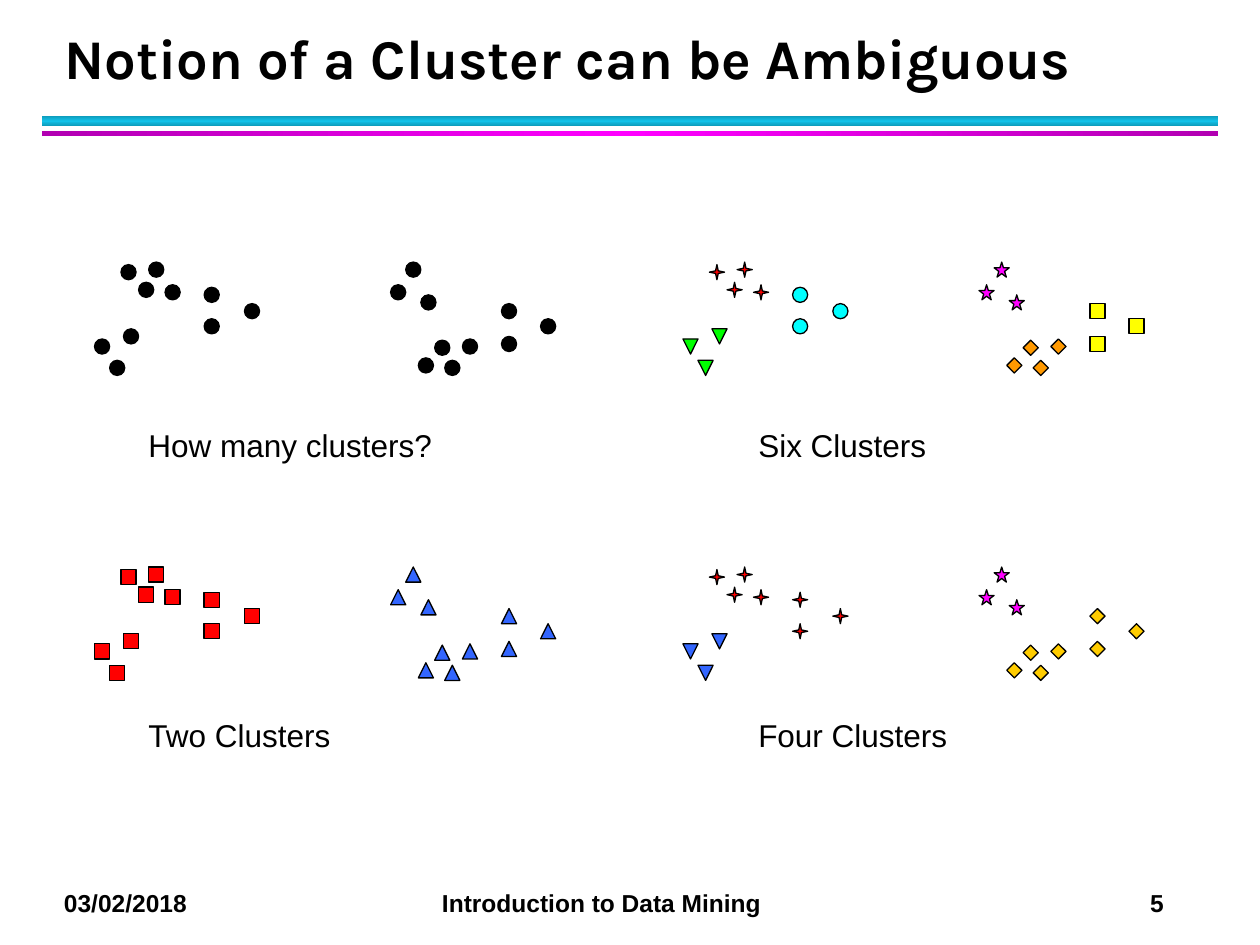
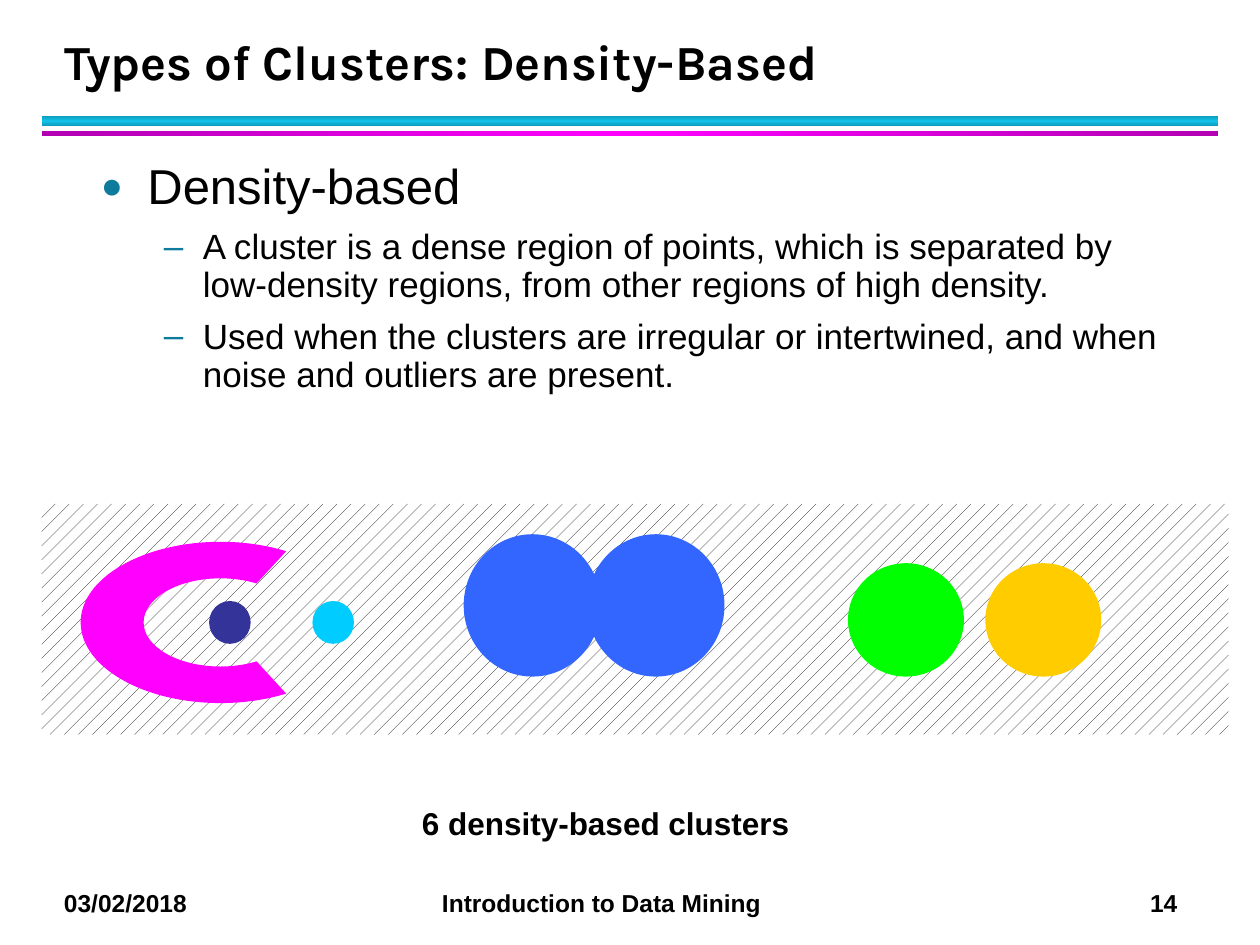
from copy import deepcopy
from math import cos, radians, sin, tan

from lxml.etree import SubElement
from pptx import Presentation
from pptx.dml.color import RGBColor
from pptx.enum.dml import MSO_PATTERN_TYPE as Pattern
from pptx.enum.shapes import MSO_SHAPE as Shape
from pptx.enum.text import MSO_ANCHOR as Anchor, MSO_AUTO_SIZE as AutoSize, PP_ALIGN as Align
from pptx.oxml.ns import qn
from pptx.util import Pt

EMU_PER_PX = 9144
PAGE_SIZE = (1000, 750)
TITLE_FONT, TEXT_FONT = "Karla", "Arial"
COLORS = {
    "black": "000000", "white": "FFFFFF", "teal": "12C2E9", "deep teal": "0E9BBA",
    "magenta": "FF00FF", "deep magenta": "B200B2", "bullet": "0C7B9C", "red": "FF0000",
    "blue": "3366FF", "green": "00FF00", "cyan": "00FFFF", "yellow": "FFFF00",
    "orange": "FF9900", "gold": "FFCC00", "navy": "333399", "sky": "00CCFF",
}

BANDS = [
    ((33, 92, 934, 8), "deep teal", "teal", 90),
    ((33, 104, 934, 4), "deep magenta", "magenta", 0),
]
TITLE_BOX = (41, 17, 906, 60)
FOOTER_BOX = (41, 700, 933, 34)
FOOTER_TABS = (300, 862)
FOOTER_DATE, FOOTER_COURSE = "03/02/2018", "Introduction to Data Mining"

DOT = 12
PANEL_STEP = (467, 242)
CAPTION_START, CAPTION_STEP, CAPTION_SIZE = (108, 333), (484, 230), (250, 40)
POINTS = {
    "left top": [(131, 226), (96, 210), (118, 208), (110, 224)],
    "left low": [(98, 261), (75, 269), (87, 286)],
    "left side": [(162, 228), (194, 241), (162, 253)],
    "right top": [(334, 234), (310, 226), (322, 208)],
    "right low": [(367, 269), (332, 284), (353, 286), (345, 270)],
    "right side": [(398, 267), (429, 253), (398, 241)],
}
BLACK_DOT = (Shape.OVAL, "black", 0)
RED_SQUARE = (Shape.RECTANGLE, "red", 0)
RED_STAR = (Shape.STAR_4_POINT, "red", 0)
PINK_STAR = (Shape.STAR_5_POINT, "magenta", 0)
BLUE_UP = (Shape.ISOSCELES_TRIANGLE, "blue", 0)
BLUE_DOWN = (Shape.FLOWCHART_EXTRACT, "blue", 180)
GREEN_DOWN = (Shape.ISOSCELES_TRIANGLE, "green", 180)
CYAN_DOT = (Shape.OVAL, "cyan", 0)
ORANGE_DIAMOND = (Shape.DIAMOND, "orange", 0)
GOLD_DIAMOND = (Shape.DIAMOND, "gold", 0)
YELLOW_SQUARE = (Shape.RECTANGLE, "yellow", 0)
PANELS = [
    ("How many clusters?", 0, 0, [BLACK_DOT] * 6),
    ("Six Clusters", 1, 0,
     [RED_STAR, GREEN_DOWN, CYAN_DOT, PINK_STAR, ORANGE_DIAMOND, YELLOW_SQUARE]),
    ("Two Clusters", 0, 1, [RED_SQUARE] * 3 + [BLUE_UP] * 3),
    ("Four Clusters", 1, 1,
     [RED_STAR, BLUE_DOWN, RED_STAR, PINK_STAR, GOLD_DIAMOND, GOLD_DIAMOND]),
]

BODY_BOX = (70, 124, 875, 559)
BODY = [
    (0, "Density-based"),
    (1, "A cluster is a dense region of points, which is separated by "
        "low-density regions, from other regions of high density."),
    (1, "Used when the clusters are irregular or intertwined, and when "
        "noise and outliers are present."),
]
LEVELS = [
    {"size": 28, "left": 37, "hang": 37, "bullet": "●", "percent": 75},
    {"size": 20, "left": 81, "hang": 31, "bullet": "–", "percent": 100},
]
NOISE_FIELD = (33, 400, 942, 183)
CRESCENT_CENTER, CRESCENT_OPENING = (175, 494), 62
CRESCENT_OUTER, CRESCENT_INNER = (111, 64), (61, 35)
ROUND_CLUSTERS = [
    ((166, 477, 33, 34), "navy"),
    ((248, 477, 33, 34), "sky"),
    ((673, 447, 92, 90), "green"),
    ((782, 447, 92, 90), "gold"),
    ((368, 424, 109, 113), "blue"),
    ((466, 424, 109, 113), "blue"),
]
DENSITY_CAPTION = ("6 density-based clusters", (325, 633, 350, 40))


def px(value):
    return round(value * EMU_PER_PX)


def place(box):
    return [px(value) for value in box]


def rgb(name):
    return RGBColor.from_string(COLORS[name])


def add_span(para, text, size, bold=False, font=TEXT_FONT):
    span = para.add_run()
    span.text = text
    span.font.size = Pt(size)
    span.font.bold = bold
    span.font.name = font
    span.font.color.rgb = rgb("black")


def add_label(shapes, text, box, size=18, bold=False):
    label = shapes.add_textbox(*place(box))
    label.text_frame.word_wrap = True
    para = label.text_frame.paragraphs[0]
    add_span(para, text, size, bold)
    return para


def finish(shape, color=None, outlined=False):
    shape.shadow.inherit = False
    if color:
        shape.fill.solid()
        shape.fill.fore_color.rgb = rgb(color)
    if outlined:
        shape.line.color.rgb = rgb("black")
        shape.line.width = Pt(0.75)
    else:
        shape.line.fill.background()


def add_band(page, box, edge, middle, angle):
    band = page.shapes.add_shape(Shape.RECTANGLE, *place(box))
    finish(band)
    band.fill.gradient()
    band.fill.gradient_angle = angle
    stops = band.fill.gradient_stops
    for stop, color, position in zip(stops, (edge, middle), (0, 0.5)):
        stop.color.rgb = rgb(color)
        stop.position = position
    stop_list = band._element.spPr.find(".//" + qn("a:gsLst"))
    last = deepcopy(stop_list[0])
    last.set("pos", "100000")
    stop_list.append(last)


def add_footer(page, number):
    text = f"{FOOTER_DATE}\t{FOOTER_COURSE}\t{number}"
    para = add_label(page.shapes, text, FOOTER_BOX, 14, True)
    tabs = SubElement(para._p.get_or_add_pPr(), qn("a:tabLst"))
    for stop in FOOTER_TABS:
        SubElement(tabs, qn("a:tab"), pos=str(px(stop)), algn="l")


def move_placeholder(holder, box, anchor):
    holder.left, holder.top, holder.width, holder.height = place(box)
    frame = holder.text_frame
    frame.auto_size = AutoSize.NONE
    frame.word_wrap = True
    frame.vertical_anchor = anchor
    return frame


def add_page(deck, layout, title, title_size, number):
    page = deck.slides.add_slide(deck.slide_layouts[layout])
    for band in BANDS:
        add_band(page, *band)
    add_footer(page, number)
    frame = move_placeholder(page.shapes.title, TITLE_BOX, Anchor.BOTTOM)
    para = frame.paragraphs[0]
    para.alignment = Align.LEFT
    para.line_spacing = Pt(36)
    add_span(para, title, title_size, True, TITLE_FONT)
    return page


def add_panel(page, caption, column, row, marks):
    shapes = page.shapes.add_group_shape().shapes
    shift_x, shift_y = column * PANEL_STEP[0], row * PANEL_STEP[1]
    for points, (kind, color, turn) in zip(POINTS.values(), marks):
        for x, y in points:
            mark = shapes.add_shape(kind, *place((x + shift_x, y + shift_y, DOT, DOT)))
            finish(mark, color, outlined=True)
            mark.rotation = turn
            if kind == Shape.STAR_4_POINT:
                mark.adjustments[0] = 0.125
    corner = [start + step * index for start, step, index
              in zip(CAPTION_START, CAPTION_STEP, (column, row))]
    add_label(shapes, caption, (*corner, *CAPTION_SIZE))


def fill_body(page):
    frame = move_placeholder(page.placeholders[1], BODY_BOX, Anchor.TOP)
    for index, (depth, text) in enumerate(BODY):
        para = frame.add_paragraph() if index else frame.paragraphs[0]
        level = LEVELS[depth]
        para.level = depth
        para.line_spacing = 0.9
        para.space_before = Pt(level["size"] * 0.2)
        para.space_after = Pt(4)
        add_span(para, text, level["size"])
        props = para._p.get_or_add_pPr()
        props.set("marL", str(px(level["left"])))
        props.set("indent", str(-px(level["hang"])))
        color = SubElement(props, qn("a:buClr"))
        SubElement(color, qn("a:srgbClr"), val=COLORS["bullet"])
        SubElement(props, qn("a:buSzPct"), val=str(level["percent"] * 1000))
        SubElement(props, qn("a:buFont"), typeface=TEXT_FONT)
        SubElement(props, qn("a:buChar"), char=level["bullet"])


def ellipse_point(radii, angle, pull=0):
    turn = radians(angle)
    return (px(CRESCENT_CENTER[0] + radii[0] * (cos(turn) - pull * sin(turn))),
            px(CRESCENT_CENTER[1] + radii[1] * (sin(turn) + pull * cos(turn))))


def arc_curves(radii, angles):
    curves = []
    for start, end in zip(angles, angles[1:]):
        pull = 4 / 3 * tan(radians(end - start) / 4)
        curves.append([ellipse_point(radii, start, pull), ellipse_point(radii, end, -pull),
                       ellipse_point(radii, end)])
    return curves


def add_crescent(shapes):
    angles = [CRESCENT_OPENING, 90, 180, 270, 360 - CRESCENT_OPENING]
    steps = arc_curves(CRESCENT_OUTER, angles)
    steps.append([ellipse_point(CRESCENT_INNER, angles[-1])])
    steps += arc_curves(CRESCENT_INNER, angles[::-1])
    builder = shapes.build_freeform(*ellipse_point(CRESCENT_OUTER, angles[0]))
    builder.add_line_segments([step[-1] for step in steps], close=True)
    crescent = builder.convert_to_shape()
    finish(crescent, "magenta")
    lines = list(crescent._element.iter(qn("a:lnTo")))
    for line, step in zip(lines, steps):
        if len(step) == 3:
            curve = SubElement(line.getparent(), qn("a:cubicBezTo"))
            for x, y in step:
                SubElement(curve, qn("a:pt"), x=str(x - crescent.left), y=str(y - crescent.top))
            line.getparent().replace(line, curve)


def add_density_map(page):
    shapes = page.shapes.add_group_shape().shapes
    field = shapes.add_shape(Shape.RECTANGLE, *place(NOISE_FIELD))
    finish(field)
    field.fill.patterned()
    field.fill.pattern = Pattern.PERCENT_10
    field.fill.fore_color.rgb = rgb("black")
    field.fill.back_color.rgb = rgb("white")
    add_crescent(shapes)
    for box, color in ROUND_CLUSTERS:
        finish(shapes.add_shape(Shape.OVAL, *place(box)), color)


def main():
    deck = Presentation()
    deck.slide_width, deck.slide_height = place(PAGE_SIZE)

    ambiguous = add_page(deck, 5, "Notion of a Cluster can be Ambiguous", 32, 5)
    for panel in PANELS:
        add_panel(ambiguous, *panel)

    density = add_page(deck, 1, "Types of Clusters: Density-Based", 28, 14)
    fill_body(density)
    add_density_map(density)
    add_label(density.shapes, *DENSITY_CAPTION, bold=True)

    deck.save("out.pptx")


if __name__ == "__main__":
    main()
